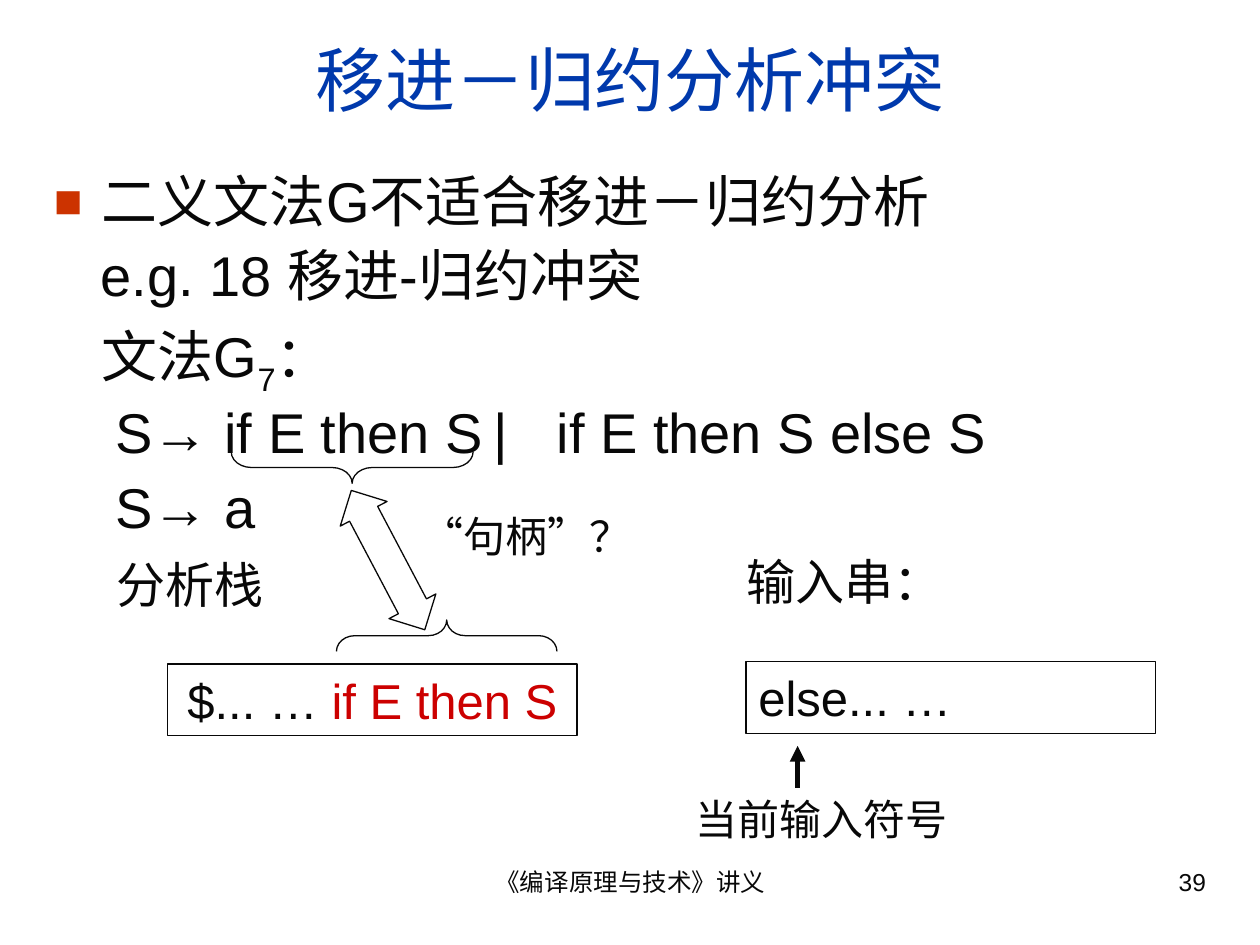
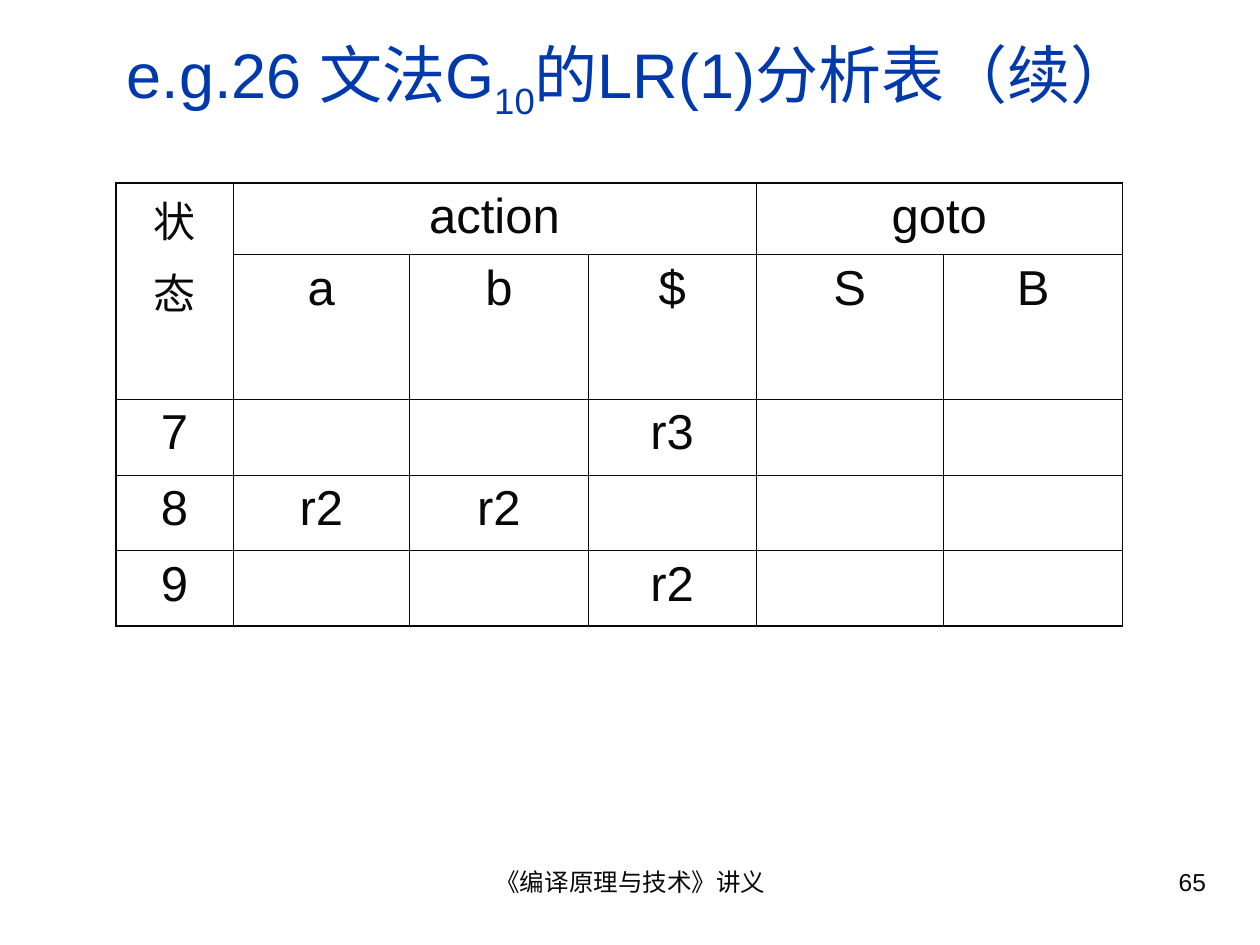
from lxml import etree
from pptx import Presentation
from pptx.dml.color import RGBColor
from pptx.enum.shapes import MSO_CONNECTOR, MSO_SHAPE
from pptx.enum.text import MSO_ANCHOR, PP_ALIGN
from pptx.oxml.ns import qn
from pptx.util import Inches, Pt

INK = RGBColor(0x08, 0x08, 0x08)
TITLE_BLUE = RGBColor(0x00, 0x39, 0xAC)
HANDLE_RED = RGBColor(0xCC, 0x00, 0x00)
BULLET_RED = RGBColor(0xCC, 0x33, 0x00)
FONT = "Arial"
LEFT, CENTER, RIGHT = PP_ALIGN.LEFT, PP_ALIGN.CENTER, PP_ALIGN.RIGHT
TOP, MIDDLE = MSO_ANCHOR.TOP, MSO_ANCHOR.MIDDLE
RECTANGLE, LEFT_BRACE = MSO_SHAPE.RECTANGLE, MSO_SHAPE.LEFT_BRACE
UP_DOWN_ARROW = MSO_SHAPE.UP_DOWN_ARROW
STRAIGHT = MSO_CONNECTOR.STRAIGHT

FOOTER = "《编译原理与技术》讲义"
TITLE_BOX = (0.33, 0.25, 9.34, 0.75)
FOOTER_BOX = (3.42, 6.83, 3.17, 0.52)
NUMBER_BOX = (7.17, 6.83, 2.5, 0.52)
SUBSCRIPT = {"baseline": -25000}
THICK, THIN = 1.08, 0.45


def lengths(box):
    return [Inches(value) for value in box]


def add_runs(paragraph, content, size, color=INK, align=LEFT):
    """Fill a paragraph with a string, or with strings and (string, format) pairs."""
    paragraph.alignment = align
    for part in [content] if isinstance(content, str) else content:
        text, style = (part, {}) if isinstance(part, str) else part
        run = paragraph.add_run()
        run.text = text
        run.font.name = FONT
        run.font.size = Pt(size)
        run.font.color.rgb = style.get("color", color)
        if "baseline" in style:
            run.font._element.set("baseline", str(style["baseline"]))


def add_text(slide, content, box, anchor=TOP, **style):
    shape = slide.shapes.add_textbox(*lengths(box))
    frame = shape.text_frame
    frame.word_wrap = True
    frame.vertical_anchor = anchor
    add_runs(frame.paragraphs[0], content, **style)
    return frame


def add_outline(slide, preset, box, rotation=0, adjustments=()):
    shape = slide.shapes.add_shape(preset, *lengths(box))
    shape.shadow.inherit = False
    shape.fill.background()
    shape.line.color.rgb = INK
    shape.line.width = Pt(0.75)
    shape.rotation = rotation
    for index, value in enumerate(adjustments):
        shape.adjustments[index] = value
    return shape


def add_framed_text(slide, content, box, **style):
    frame = add_outline(slide, RECTANGLE, box).text_frame
    frame.word_wrap = True
    frame.vertical_anchor = TOP
    add_runs(frame.paragraphs[0], content, size=28, **style)


def add_arrow(slide, start, end):
    connector = slide.shapes.add_connector(STRAIGHT, *lengths(start + end))
    connector.line.color.rgb = INK
    connector.line.width = Pt(3)
    line = connector.line._get_or_add_ln()
    etree.SubElement(line, qn("a:tailEnd"), type="triangle")
    etree.SubElement(connector._element.spPr, qn("a:effectLst"))


def start_slide(presentation, title, title_size, number):
    slide = presentation.slides.add_slide(presentation.slide_layouts[6])
    add_text(slide, FOOTER, FOOTER_BOX, size=14, align=CENTER)
    add_text(slide, number, NUMBER_BOX, size=14, align=RIGHT)
    add_text(slide, title, TITLE_BOX, anchor=MIDDLE,
             size=title_size, color=TITLE_BLUE, align=CENTER)
    return slide


def set_indent(paragraph, margin, bullet=False, tabs=()):
    properties = paragraph._p.get_or_add_pPr()
    properties.set("marL", str(Inches(margin)))
    properties.set("indent", str(Inches(-margin if bullet else 0)))
    if bullet:
        color = etree.SubElement(properties, qn("a:buClr"))
        etree.SubElement(color, qn("a:srgbClr"), val=str(BULLET_RED))
        etree.SubElement(properties, qn("a:buSzPct"), val="85000")
        etree.SubElement(properties, qn("a:buFont"), typeface=FONT)
        etree.SubElement(properties, qn("a:buChar"), char="■")
    else:
        etree.SubElement(properties, qn("a:buNone"))
    if tabs:
        stops = etree.SubElement(properties, qn("a:tabLst"))
        for position in tabs:
            etree.SubElement(stops, qn("a:tab"), pos=str(Inches(position)), algn="l")


def add_grammar(slide, box):
    # Each line: content, left margin, tab stops
    lines = [
        ("二义文法G不适合移进－归约分析", 0.38, ()),
        ("e.g. 18 移进-归约冲突", 0.37, ()),
        (["文法G", ("7", SUBSCRIPT), "："], 0.38, ()),
        ("S→ if E then S\t|\tif E then S else S", 0.49, (3.65, 3.99)),
        ("S→ a", 0.49, ()),
    ]
    frame = slide.shapes.add_textbox(*lengths(box)).text_frame
    frame.word_wrap = True
    for index, (content, margin, tabs) in enumerate(lines):
        paragraph = frame.add_paragraph() if index else frame.paragraphs[0]
        set_indent(paragraph, margin, bullet=index == 0, tabs=tabs)
        paragraph.line_spacing = 0.9
        if index:
            paragraph.space_before = Pt(8)
        add_runs(paragraph, content, size=32)


def add_stack(slide, left, top):
    """Parsing stack with the possible handle on top."""
    add_text(slide, "分析栈", (left, top, 2.58, 0.57), size=28)
    add_framed_text(slide, ["$... … ", ("if E then S", {"color": HANDLE_RED})],
                    (left + 0.5, top + 0.92, 3.25, 0.57), align=CENTER)
    add_outline(slide, LEFT_BRACE, (left + 2.59, top - 0.18, 0.25, 1.75), 90, (0.58, 0.5))


def add_input(slide, left, top):
    """Remaining input and the pointer to its current symbol."""
    add_text(slide, "输入串：", (left, top, 2.58, 0.57), size=28)
    add_framed_text(slide, "else... …", (left + 0.09, top + 0.92, 3.25, 0.57))
    add_arrow(slide, (left + 0.5, top + 1.92), (left + 0.5, top + 1.59))
    add_text(slide, "当前输入符号", (left - 0.41, top + 1.92, 2.42, 0.5), size=24)


def add_handle_question(slide, left, top):
    """Brace under the production body, linked to the stack top."""
    add_outline(slide, LEFT_BRACE, (left, top, 0.25, 1.92), 270, (0.64, 0.5))
    add_outline(slide, UP_DOWN_ARROW, (left + 0.2, top + 1.07, 0.42, 1.25), 332.2,
                (0.5, 0.6))
    add_text(slide, "“句柄”？", (left + 0.58, top + 1.25, 1.58, 0.5), size=24)


def build_conflict_slide(presentation):
    slide = start_slide(presentation, "移进－归约分析冲突", 40, "39")
    add_grammar(slide, (0.33, 1.33, 9.34, 3.17))
    add_stack(slide, 0.83, 4.35)
    add_input(slide, 5.83, 4.33)
    add_handle_question(slide, 2.67, 2.75)


def set_borders(cell, widths):
    properties = cell._tc.get_or_add_tcPr()
    for index, (side, width) in enumerate(widths.items()):
        line = etree.Element(qn("a:ln" + side), w=str(Pt(width)))
        fill = etree.SubElement(line, qn("a:solidFill"))
        etree.SubElement(fill, qn("a:srgbClr"), val=str(INK))
        properties.insert(index, line)


def add_parsing_table(slide, left, top):
    columns = [0.93, 1.4, 1.42, 1.33, 1.49, 1.42]
    heights = [0.57, 1.15, 0.6, 0.6, 0.6]
    rows = [
        ["状态", "action", "", "", "goto", ""],
        ["", "a", "b", "$", "S", "B"],
        ["7", "", "", "r3", "", ""],
        ["8", "r2", "r2", "", "", ""],
        ["9", "", "", "r2", "", ""],
    ]
    box = (left, top, sum(columns), sum(heights))
    table = slide.shapes.add_table(len(rows), len(columns), *lengths(box)).table
    table.first_row = table.horz_banding = False
    for column, width in zip(table.columns, columns):
        column.width = Inches(width)
    for row, height in zip(table.rows, heights):
        row.height = Inches(height)

    # Header spans
    for first, last in [((0, 0), (1, 0)), ((0, 1), (0, 3)), ((0, 4), (0, 5))]:
        table.cell(*first).merge(table.cell(*last))

    last_row, last_column = len(rows) - 1, len(columns) - 1
    for row, texts in enumerate(rows):
        for column, text in enumerate(texts):
            cell = table.cell(row, column)
            cell.fill.background()
            set_borders(cell, {
                "L": THIN if column else THICK,
                "R": THICK if column == last_column else THIN,
                "T": THIN if row else THICK,
                "B": THICK if row == last_row else THIN,
            })
            # The state heading stands upright, one character a line
            stacked = row == column == 0
            for index, line in enumerate(text if stacked else [text] if text else []):
                frame = cell.text_frame
                paragraph = frame.add_paragraph() if index else frame.paragraphs[0]
                if index:
                    paragraph.space_before = Pt(6)
                add_runs(paragraph, line, size=24 if stacked else 28, align=CENTER)


def build_table_slide(presentation):
    title = ["e.g.26 文法G", ("10", SUBSCRIPT), "的LR(1)分析表（续）"]
    slide = start_slide(presentation, title, 36, "65")
    add_parsing_table(slide, 0.92, 1.45)


def main():
    presentation = Presentation()
    presentation.slide_width = Inches(10)
    presentation.slide_height = Inches(7.5)
    build_conflict_slide(presentation)
    build_table_slide(presentation)
    presentation.save("out.pptx")


if __name__ == "__main__":
    main()
